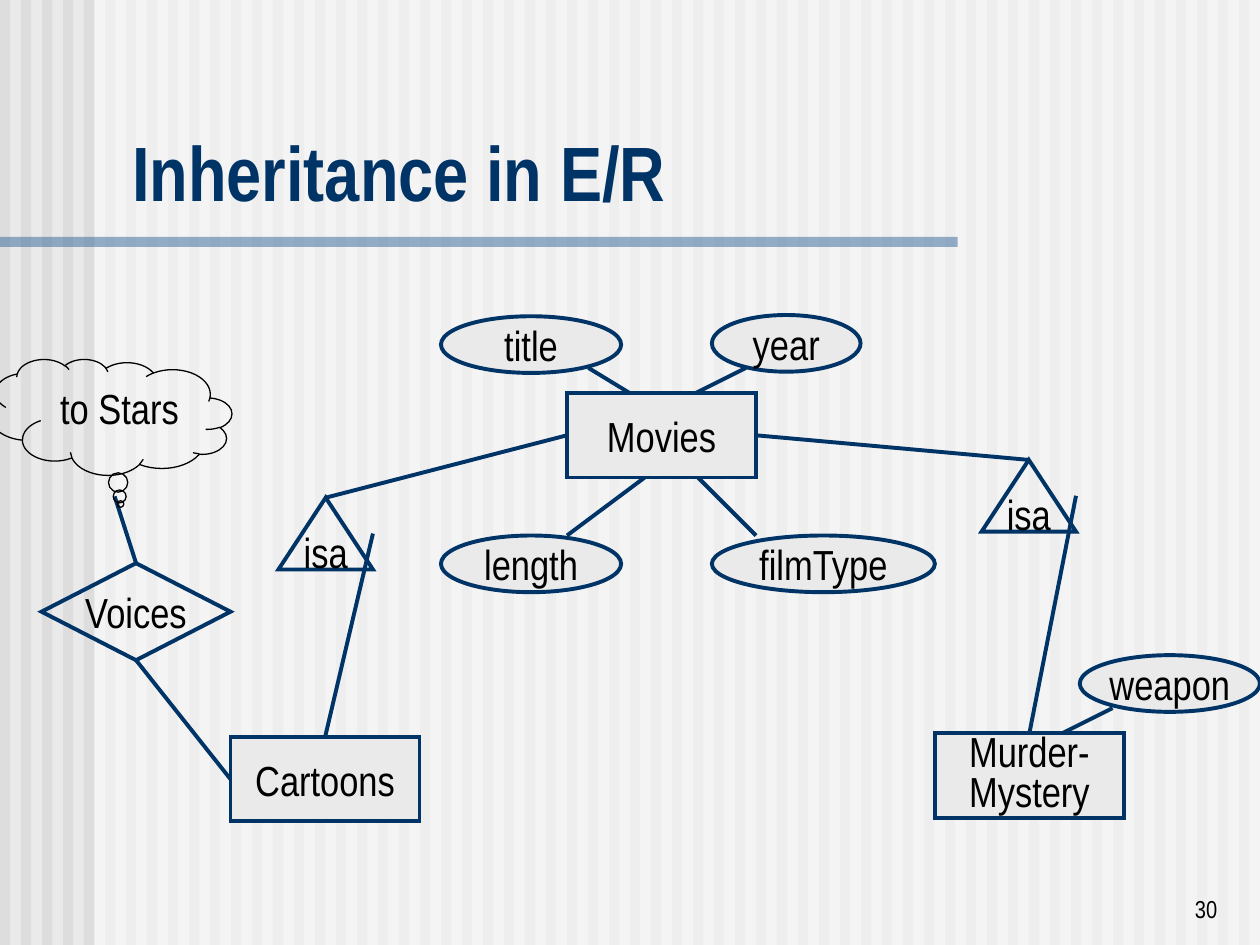
from lxml import etree
from pptx import Presentation
from pptx import util as u
from pptx.dml.color import RGBColor
from pptx.enum import shapes, text
from pptx.oxml import ns

FONT = "Arial Narrow"
NAVY, GRAY, BLACK = "003366", "EAEAEA", "000000"
KIND = shapes.MSO_SHAPE
MID, LOW, TOP = (text.MSO_ANCHOR.MIDDLE, text.MSO_ANCHOR.BOTTOM,
                 text.MSO_ANCHOR.TOP)
LEFT, CENTER, RIGHT = (text.PP_ALIGN.LEFT, text.PP_ALIGN.CENTER,
                       text.PP_ALIGN.RIGHT)


def color(hue):
    return RGBColor.from_string(hue)


def sub(node, tag, **atts):
    return etree.SubElement(node, ns.qn(tag), **atts)


def box(at):
    return [u.Inches(v) for v in at]


def write(shape, words, size=24, hue=BLACK, bold=False, align=CENTER,
          anchor=MID, wrap=False, space=None):
    frame = shape.text_frame
    frame.text = words
    frame.word_wrap = wrap
    frame.vertical_anchor = anchor
    for para in frame.paragraphs:
        para.alignment = align
        if space:
            para.line_spacing = space
        font = para.font
        font.name, font.size, font.bold = FONT, u.Pt(size), bold
        font.color.rgb = color(hue)


def band(slide, at, hue, alpha=None):
    """Borderless rectangle, with opacity in percent if given."""
    shape = slide.shapes.add_shape(KIND.RECTANGLE, *box(at))
    shape.shadow.inherit = False
    shape.fill.solid()
    shape.fill.fore_color.rgb = color(hue)
    shape.line.fill.background()
    if alpha:
        tone = shape.element.spPr.find(".//" + ns.qn("a:srgbClr"))
        sub(tone, "a:alpha", val=str(alpha * 1000))


def node(slide, kind, words, at, fill=GRAY, edge=NAVY, width=2.25, **form):
    """Outlined diagram shape with its label."""
    shape = slide.shapes.add_shape(kind, *box(at))
    shape.shadow.inherit = False
    if fill:
        shape.fill.solid()
        shape.fill.fore_color.rgb = color(fill)
    else:
        shape.fill.background()
    shape.line.color.rgb = color(edge)
    shape.line.width = u.Pt(width)
    sub(shape.element.spPr.find(ns.qn("a:ln")), "a:miter", lim="800000")
    write(shape, words, **form)
    return shape


def link(slide, start, end):
    """Line between ends that are (x, y) points or (shape, site) joints."""
    def point(end):
        return end if isinstance(end[0], (int, float)) else (0, 0)

    line = slide.shapes.add_connector(
        shapes.MSO_CONNECTOR.STRAIGHT, *box(point(start) + point(end)))
    if point(start) != start:
        line.begin_connect(*start)
    if point(end) != end:
        line.end_connect(*end)
    line.line.color.rgb = color(NAVY)
    line.line.width = u.Pt(2.25)
    sub(line.element.spPr, "a:effectLst")


def backdrop(slide):
    for i in range(60):
        band(slide, (i / 6, 0, 0.08, 7.5), "DDDDDD")
    band(slide, (0.75, 0, 9.25, 7.5), "FFFFFF", 50)
    band(slide, (0, 1.88, 7.6, 0.08), "336699", 50)


def heading(slide):
    title = slide.shapes.title
    title.left, title.top, title.width, title.height = box(
        (0.95, 0.94, 8.93, 0.83))
    write(title, "Inheritance in E/R", size=44, hue=NAVY, bold=True,
          align=LEFT, anchor=LOW, wrap=True)
    # Bring the title in front of the backdrop
    title.element.getparent().append(title.element)


def diagram(slide):
    # Attributes
    for words, x, y, w in (("length", 3.5, 4.25, 1.43),
                           ("filmType", 5.65, 4.25, 1.77),
                           ("title", 3.5, 2.51, 1.43),
                           ("year", 5.65, 2.5, 1.18),
                           ("weapon", 8.57, 5.2, 1.43)):
        node(slide, KIND.OVAL, words, (x, y, w, 0.45))
    for start, end in (((4.5, 4.25), (5.17, 3.75)),
                       ((6, 4.25), (5.5, 3.75)),
                       ((4.67, 2.92), (5.08, 3.17)),
                       ((5.92, 2.92), (5.42, 3.17)),
                       ((8.83, 5.62), (8.33, 5.87))):
        link(slide, start, end)

    # Entities
    movies, murder, toons = [
        node(slide, KIND.RECTANGLE, words, (x, y, 1.5, 0.67), space=space)
        for words, x, y, space in (("Movies", 4.5, 3.12, None),
                                   ("Murder-\nMystery", 7.42, 5.82, 0.8),
                                   ("Cartoons", 1.83, 5.85, None))]

    # Subclass triangles, from the parent's side down to the child's top
    for x, y, side, child in ((7.79, 3.65, 3, murder),
                              (2.21, 3.95, 1, toons)):
        isa = node(slide, KIND.ISOSCELES_TRIANGLE, "isa", (x, y, 0.75, 0.57),
                   fill=None)
        link(slide, (movies, side), (isa, 0))
        link(slide, (isa, 3), (child, 0))

    # Relationship to the stars
    voices = node(slide, KIND.DIAMOND, "Voices", (0.33, 4.47, 1.5, 0.77),
                  fill=None)
    link(slide, (toons, 1), (voices, 2))
    link(slide, (voices, 0), (0.91, 3.94))
    cloud = node(slide, KIND.CLOUD_CALLOUT, "to Stars",
                 (-0.08, 2.85, 1.92, 0.92), fill=None, edge=BLACK,
                 width=0.75, anchor=TOP, wrap=True)
    cloud.adjustments[0], cloud.adjustments[1] = -0.04, 0.75
    cloud.element.spPr.find(ns.qn("a:xfrm")).set("flipH", "1")


def main():
    deck = Presentation()
    deck.slide_width, deck.slide_height = u.Inches(10), u.Inches(7.5)
    slide = deck.slides.add_slide(deck.slide_layouts[5])
    slide.background.fill.solid()
    slide.background.fill.fore_color.rgb = color(GRAY)
    backdrop(slide)
    heading(slide)
    diagram(slide)
    # Page number
    page = slide.shapes.add_textbox(*box((7.68, 6.88, 2.08, 0.5)))
    write(page, "30", size=14, align=RIGHT, anchor=LOW, wrap=True)
    deck.save("out.pptx")


if __name__ == "__main__":
    main()
